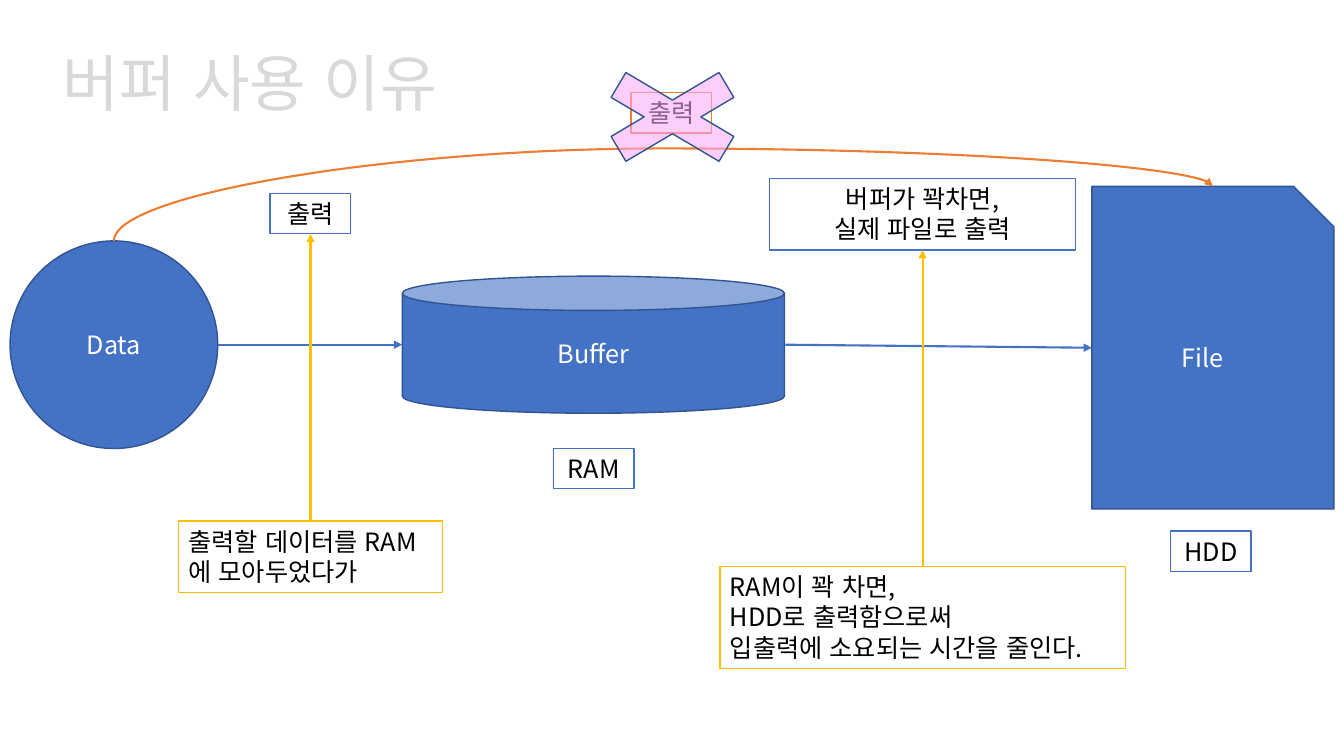
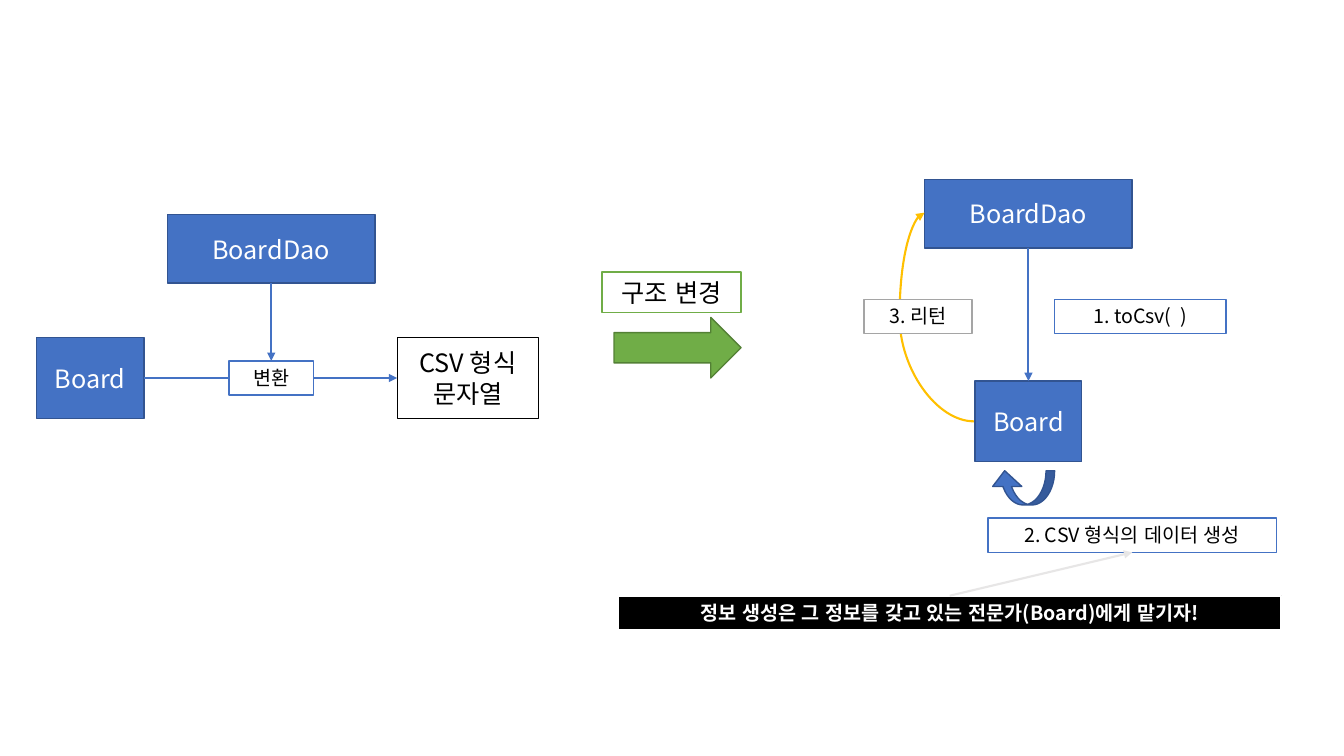
from lxml.etree import SubElement
from pptx import Presentation
from pptx.dml.color import RGBColor
from pptx.enum.lang import MSO_LANGUAGE_ID
from pptx.enum.shapes import MSO_CONNECTOR, MSO_SHAPE
from pptx.enum.text import MSO_ANCHOR, MSO_AUTO_SIZE, PP_ALIGN
from pptx.oxml.ns import qn
from pptx.util import Pt

PX = 9144
SLIDE_SIZE = (1333, 750)
FONT = "Noto Sans CJK KR"
TOP, LEFT, BOTTOM, RIGHT = range(4)

COLORS = {
    "blue": "4472C4", "navy": "325491", "orange": "ED7D31", "gold": "FFC000",
    "green": "70AD47", "forest": "538035", "pink": "FDA9F7", "gray": "A5A5A5",
    "silver": "E7E6E6", "mist": "D9D9D9", "white": "FFFFFF", "black": "000000",
}

BASE = {"fill": "white", "line": "blue", "width": 1, "ink": "black", "size": 18,
        "bold": False, "align": PP_ALIGN.CENTER, "vertical_anchor": MSO_ANCHOR.TOP,
        "auto_size": MSO_AUTO_SIZE.SHAPE_TO_FIT_TEXT}
FIXED = {"vertical_anchor": MSO_ANCHOR.MIDDLE, "auto_size": MSO_AUTO_SIZE.NONE}
STYLES = {
    "node": {"fill": "blue", "line": "navy", "ink": "white", **FIXED},
    "result": {"line": "black", **FIXED},
    "label": {},
    "bypass": {"line": "orange"},
    "change": {"line": "green"},
    "note": {"line": "gold", "align": PP_ALIGN.LEFT},
    "step": {"size": 14},
    "return": {"size": 14, "line": "gray"},
    "banner": {"size": 14, "fill": "black", "line": "white", "width": 1.5,
               "ink": "white", "bold": True},
    "change arrow": {"fill": "green", "line": "forest"},
    "cross": {"fill": "pink", "line": "navy", "alpha": 56},
    "title": {"ink": "mist", "size": 44, "align": PP_ALIGN.LEFT, **FIXED},
}

RECT = MSO_SHAPE.RECTANGLE
SLIDES = [
    {
        "title": ("버퍼 사용 이유", (52, 32, 800, 98)),
        "parts": [
            ("data", MSO_SHAPE.OVAL, (10, 239, 206, 206), "node", ["Data"]),
            ("buffer", MSO_SHAPE.CAN, (399, 274, 379, 136), "node", ["Buffer"]),
            ("file", MSO_SHAPE.SNIP_1_RECTANGLE, (1083, 185, 240, 320), "node", ["File"]),
            ("output", RECT, (268, 192, 80, 40), "label", ["출력"]),
            ("ram", RECT, (549, 445, 80, 40), "label", ["RAM"]),
            ("hdd", RECT, (1161, 527, 80, 40), "label", ["HDD"]),
            ("collect", RECT, (177, 517, 262, 71), "note", ["출력할 데이터를 RAM에 모아두었다가"]),
            ("saving", RECT, (714, 562, 402, 101), "note",
             ["RAM이 꽉 차면,", "HDD로 출력함으로써", "입출력에 소요되는 시간을 줄인다."]),
            ("flush", RECT, (763, 177, 304, 71), "label", ["버퍼가 꽉차면,", "실제 파일로 출력"]),
            ("arrow", (216, 342, 399, 342), "blue"),
            ("arrow", (779, 342, 1083, 345), "blue"),
            ("join", "collect", TOP, "output", BOTTOM, "gold"),
            ("join", "saving", TOP, "flush", BOTTOM, "gold"),
            ("curve", (631, -333, 54, 1090), "orange", 169800,
             {"rot": "5400000", "flipH": "1", "flipV": "1"}),
            ("direct", RECT, (626, 92, 80, 40), "bypass", ["출력"]),
            ("cross", MSO_SHAPE.MATH_MULTIPLY, (564, 55, 206, 122), "cross", []),
        ],
    },
    {
        "parts": [
            ("dao", RECT, (166, 213, 206, 68), "node", ["BoardDao"]),
            ("board", RECT, (36, 335, 107, 80), "node", ["Board"]),
            ("csv", RECT, (394, 335, 140, 80), "result", ["CSV 형식", "문자열"]),
            ("join", "board", RIGHT, "csv", LEFT, "blue"),
            ("change arrow", MSO_SHAPE.RIGHT_ARROW, (609, 315, 126, 60), "change arrow", []),
            ("new dao", RECT, (917, 178, 206, 68), "node", ["BoardDao"]),
            ("new board", RECT, (967, 378, 106, 80), "node", ["Board"]),
            ("convert", RECT, (227, 358, 84, 34), "step", ["변환"]),
            ("curve", (917, 211, 49, 207), "gold", 150600, {"rot": "10800000"}),
            ("change", RECT, (597, 270, 138, 40), "change", ["구조 변경"]),
            ("join", "new dao", BOTTOM, "new board", TOP, "blue"),
            ("join", "dao", BOTTOM, "convert", TOP, "blue"),
            ("create", RECT, (980, 514, 286, 34), "step", ["2. CSV 형식의 데이터 생성"]),
            ("call", RECT, (1046, 297, 170, 34), "step", ["1. toCsv(  )"]),
            ("return", RECT, (857, 297, 107, 34), "return", ["3. 리턴"]),
            ("banner", RECT, (613, 591, 658, 34), "banner",
             ["정보 생성은 그 정보를 갖고 있는 전문가(Board)에게 맡기자!"]),
            ("loop", MSO_SHAPE.CURVED_LEFT_ARROW, (997, 452, 34, 64), "node", [],
             90, (0.25, 0.85, 0.46)),
            ("join", "banner", TOP, "create", BOTTOM, "silver"),
        ],
    },
]


def emu(lengths):
    return [length * PX for length in lengths]


def color(name):
    return RGBColor.from_string(COLORS[name])


def write(frame, lines, style):
    for name in ("vertical_anchor", "auto_size"):
        setattr(frame, name, style[name])
    frame.word_wrap = True
    font_format = {"name": FONT, "size": Pt(style["size"]), "bold": style["bold"],
                   "language_id": MSO_LANGUAGE_ID.KOREAN}
    for index, line in enumerate(lines):
        paragraph = frame.paragraphs[0] if index == 0 else frame.add_paragraph()
        paragraph.alignment = style["align"]
        run = paragraph.add_run()
        run.text = line
        run.font.color.rgb = color(style["ink"])
        for name, value in font_format.items():
            setattr(run.font, name, value)
        SubElement(run.font._element, qn("a:ea"), typeface=FONT)


def add_part(slide, geometry, place, style_name, lines, rotation=0, adjustments=()):
    style = {**BASE, **STYLES[style_name]}
    part = slide.shapes.add_shape(geometry, *emu(place))
    part.shadow.inherit = False
    part.rotation = rotation
    for index, value in enumerate(adjustments):
        part.adjustments[index] = value
    part.fill.solid()
    part.fill.fore_color.rgb = color(style["fill"])
    part.line.color.rgb = color(style["line"])
    part.line.width = Pt(style["width"])
    if "alpha" in style:
        tint = part._element.spPr.find(qn("a:solidFill"))[0]
        SubElement(tint, qn("a:alpha"), val=str(style["alpha"] * 1000))
    if lines:
        write(part.text_frame, lines, style)
    return part


def add_arrow(slide, ends, ink, kind=MSO_CONNECTOR.STRAIGHT):
    arrow = slide.shapes.add_connector(kind, *emu(ends))
    arrow.line.color.rgb = color(ink)
    arrow.line.width = Pt(1.5)
    SubElement(arrow.line._get_or_add_ln(), qn("a:tailEnd"), type="triangle")
    SubElement(arrow._element.spPr, qn("a:effectLst"))
    return arrow


def add_curve(slide, place, ink, bend, turn):
    left, top, width, height = place
    curve = add_arrow(slide, (left, top, left + width, top + height), ink, MSO_CONNECTOR.CURVE)
    properties = curve._element.spPr
    for name, value in turn.items():
        properties.find(qn("a:xfrm")).set(name, value)
    guides = properties.find(qn("a:prstGeom")).find(qn("a:avLst"))
    SubElement(guides, qn("a:gd"), name="adj1", fmla=f"val {bend}")


def add_join(slide, start, start_side, end, end_side, ink):
    join = add_arrow(slide, (0, 0, 0, 0), ink)
    join.begin_connect(start, start_side)
    join.end_connect(end, end_side)


def add_title(slide, text, place):
    title = slide.shapes.title
    for name, value in zip(("left", "top", "width", "height"), emu(place)):
        setattr(title, name, value)
    write(title.text_frame, [text], {**BASE, **STYLES["title"]})


def build(deck, content):
    slide = deck.slides.add_slide(deck.slide_layouts[5 if "title" in content else 6])
    if "title" in content:
        add_title(slide, *content["title"])
    placed = {}
    for key, *details in content["parts"]:
        if key == "arrow":
            add_arrow(slide, *details)
        elif key == "curve":
            add_curve(slide, *details)
        elif key == "join":
            start, start_side, end, end_side, ink = details
            add_join(slide, placed[start], start_side, placed[end], end_side, ink)
        else:
            placed[key] = add_part(slide, *details)


def main():
    deck = Presentation()
    deck.slide_width, deck.slide_height = emu(SLIDE_SIZE)
    for content in SLIDES:
        build(deck, content)
    deck.save("out.pptx")


if __name__ == "__main__":
    main()
